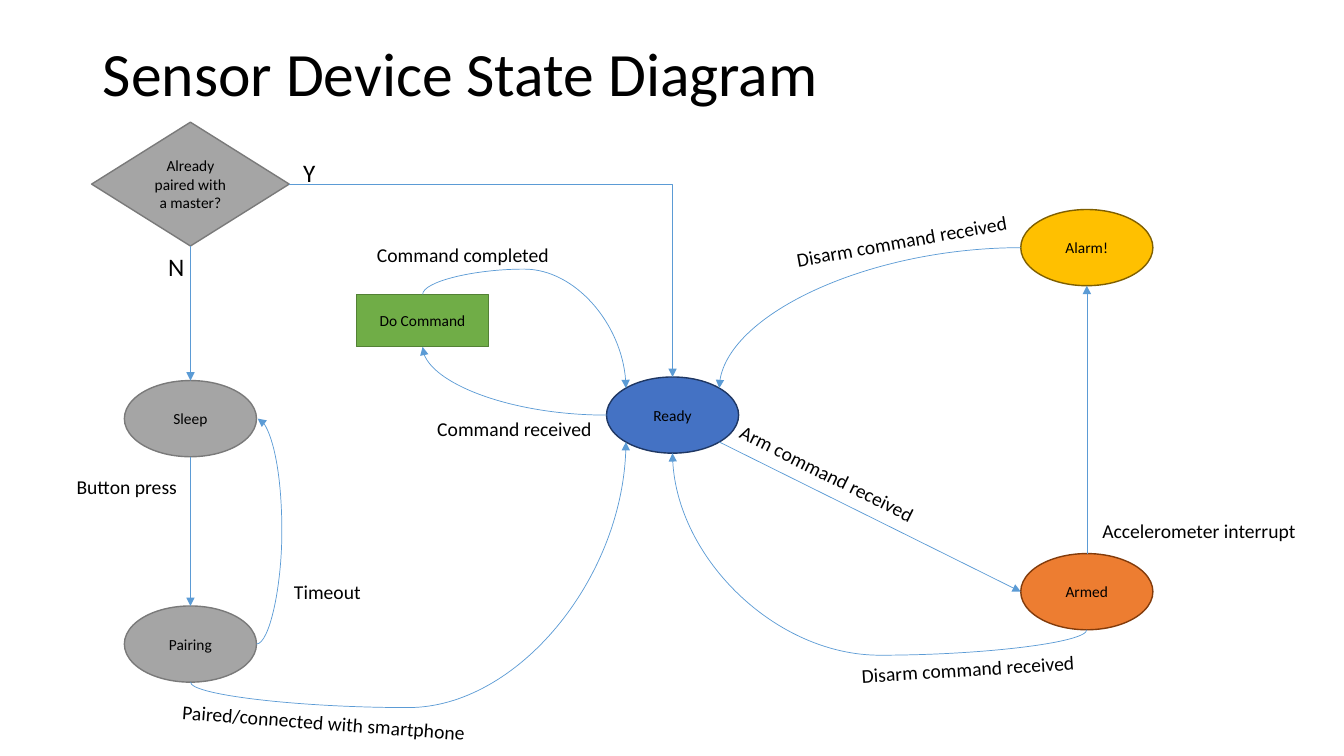
from math import sqrt

from lxml.etree import SubElement
from pptx import Presentation
from pptx.dml.color import RGBColor
from pptx.enum.shapes import MSO_CONNECTOR, MSO_SHAPE
from pptx.enum.text import MSO_ANCHOR, MSO_AUTO_SIZE, PP_ALIGN
from pptx.oxml.ns import qn
from pptx.util import Cm, Pt

BLACK = RGBColor(0x00, 0x00, 0x00)
ARROW_BLUE = RGBColor(0x5B, 0x9B, 0xD5)
GREY, GREY_EDGE = RGBColor(0xA5, 0xA5, 0xA5), RGBColor(0x7A, 0x7A, 0x7A)
BLUE, BLUE_EDGE = RGBColor(0x44, 0x72, 0xC4), RGBColor(0x1F, 0x37, 0x63)
ORANGE, ORANGE_EDGE = RGBColor(0xED, 0x7D, 0x31), RGBColor(0x82, 0x3B, 0x0B)
GOLD, GOLD_EDGE = RGBColor(0xFF, 0xC0, 0x00), RGBColor(0x7F, 0x5F, 0x00)
GREEN, GREEN_EDGE = RGBColor(0x70, 0xAD, 0x47), RGBColor(0x53, 0x81, 0x35)
FONT = "Calibri"

TITLE = "Sensor Device State Diagram"
DIAMOND, OVAL, BOX = MSO_SHAPE.DIAMOND, MSO_SHAPE.OVAL, MSO_SHAPE.RECTANGLE
SIZES = {DIAMOND: (4.98, 3.12), OVAL: (3.33, 1.92), BOX: (3.33, 1.32)}

PAIRED = "Already paired with a master?"
# text, outline, centre x and y in cm, fill, edge
STATES = [
    (PAIRED, DIAMOND, 4.8, 4.64, GREY, GREY_EDGE),
    ("Sleep", OVAL, 4.8, 10.55, GREY, GREY_EDGE),
    ("Ready", OVAL, 16.95, 10.46, BLUE, BLUE_EDGE),
    ("Pairing", OVAL, 4.8, 16.23, GREY, GREY_EDGE),
    ("Armed", OVAL, 27.39, 14.91, ORANGE, ORANGE_EDGE),
    ("Alarm!", OVAL, 27.39, 6.24, GOLD, GOLD_EDGE),
    ("Do Command", BOX, 10.65, 8.08, GREEN, GREEN_EDGE),
]

STRAIGHT, BENT = "line", "bentConnector2"
ARC, LOOP = "curvedConnector2", "curvedConnector3"
# from state and site, to state and site, route, rotation
TRANSITIONS = [
    (PAIRED, "bottom", "Sleep", "top", STRAIGHT, 0),
    ("Sleep", "bottom", "Pairing", "top", STRAIGHT, 0),
    (PAIRED, "right", "Ready", "top", BENT, 0),
    ("Pairing", "right", "Sleep", "right", LOOP, 0),
    ("Pairing", "bottom", "Ready", "bottom left", LOOP, 90),
    ("Ready", "bottom right", "Armed", "left", STRAIGHT, 0),
    ("Armed", "bottom", "Ready", "bottom", LOOP, 90),
    ("Armed", "top", "Alarm!", "bottom", STRAIGHT, 0),
    ("Alarm!", "left", "Ready", "top right", ARC, 180),
    ("Ready", "left", "Do Command", "bottom", ARC, 180),
    ("Do Command", "top", "Ready", "top left", LOOP, 270),
]
LOOP_BULGE = Cm(0.64)
MIN_LOOP_WIDTH = Cm(0.03)

# text, left, top, width in cm, rotation, point size
LABELS = [
    ("Y", 7.39, 3.84, 0.81, 0, 18),
    ("N", 3.99, 6.2, 0.91, 0, 18),
    ("Button press", 1.68, 11.84, 3.07, 0, 14),
    ("Timeout", 7.16, 14.48, 2.21, 0, 14),
    ("Paired/connected with smartphone", 4.34, 17.78, 7.7, 4.3, 14),
    ("Command received", 10.77, 10.39, 4.45, 0, 14),
    ("Command completed", 9.25, 5.99, 4.88, 0, 14),
    ("Arm command received", 18.19, 11.51, 5.33, 26.4, 14),
    ("Disarm command received", 21.46, 16.43, 5.92, -3.5, 14),
    ("Disarm command received", 19.79, 5.64, 5.92, -10.1, 14),
    ("Accelerometer interrupt", 27.53, 12.95, 5.44, 0, 14),
]
LABEL_HEIGHTS = {18: 1.02, 14: 0.86}

# Connection sites run anticlockwise from the top
DIAGONAL = sqrt(0.5)
OVAL_SITES = {
    "top": (0, -1), "top left": (-DIAGONAL, -DIAGONAL),
    "left": (-1, 0), "bottom left": (-DIAGONAL, DIAGONAL),
    "bottom": (0, 1), "bottom right": (DIAGONAL, DIAGONAL),
    "right": (1, 0), "top right": (DIAGONAL, -DIAGONAL),
}
SIDES = [site for site in OVAL_SITES if " " not in site]


def style_text(frame, size):
    for paragraph in frame.paragraphs:
        for run in paragraph.runs:
            run.font.name, run.font.size = FONT, Pt(size)
            run.font.color.rgb = BLACK


def add_state(slide, text, outline, x, y, fill, edge):
    width, height = SIZES[outline]
    state = slide.shapes.add_shape(outline, Cm(x - width / 2), Cm(y - height / 2),
                                   Cm(width), Cm(height))
    state.shadow.inherit = False
    state.fill.solid()
    state.fill.fore_color.rgb = fill
    state.line.color.rgb, state.line.width = edge, Pt(1)
    state.text_frame.text = text
    state.text_frame.vertical_anchor = MSO_ANCHOR.MIDDLE
    state.text_frame.paragraphs[0].alignment = PP_ALIGN.CENTER
    style_text(state.text_frame, 11)
    return state


def site_point(state, site):
    across, down = OVAL_SITES[site]
    return (round(state.left + state.width * (1 + across) / 2),
            round(state.top + state.height * (1 + down) / 2))


def site_index(state, site):
    sites = list(OVAL_SITES) if state.auto_shape_type == OVAL else SIDES
    return sites.index(site)


def add_transition(slide, start, start_site, end, end_site, route, rotation):
    """Join two states; the flips follow from the rotated route's direction."""
    x1, y1 = site_point(start, start_site)
    x2, y2 = site_point(end, end_site)
    if route == LOOP and x1 == x2 and rotation == 0:
        x2 += MIN_LOOP_WIDTH
    dx, dy = x2 - x1, y2 - y1
    run, rise = {0: (dx, dy), 90: (dy, -dx), 180: (-dx, -dy), 270: (-dy, dx)}[rotation]
    width, height = abs(run), abs(rise)

    arrow = slide.shapes.add_connector(MSO_CONNECTOR.STRAIGHT, x1, y1, x2, y2)
    arrow.left, arrow.top = (x1 + x2 - width) // 2, (y1 + y2 - height) // 2
    arrow.width, arrow.height = width, height
    arrow.line.color.rgb, arrow.line.width = ARROW_BLUE, Pt(0.5)

    properties = arrow.element.spPr
    frame = properties.find(qn("a:xfrm"))
    frame.set("rot", str(rotation * 60000))
    frame.set("flipH", str(int(run < 0)))
    frame.set("flipV", str(int(rise < 0)))
    geometry = properties.find(qn("a:prstGeom"))
    geometry.set("prst", route)
    if route == LOOP:
        bulge = round(LOOP_BULGE / run * 100000)
        SubElement(geometry.find(qn("a:avLst")), qn("a:gd"),
                   name="adj1", fmla=f"val {bulge}")
    SubElement(properties.find(qn("a:ln")), qn("a:tailEnd"), type="triangle")
    SubElement(properties, qn("a:effectLst"))

    glue = arrow.element.find(".//" + qn("p:cNvCxnSpPr"))
    for tag, state, site in (("a:stCxn", start, start_site), ("a:endCxn", end, end_site)):
        SubElement(glue, qn(tag), id=str(state.shape_id), idx=str(site_index(state, site)))


def add_label(slide, text, left, top, width, rotation, size):
    label = slide.shapes.add_textbox(Cm(left), Cm(top), Cm(width), Cm(LABEL_HEIGHTS[size]))
    label.rotation = rotation
    label.text_frame.word_wrap = False
    label.text_frame.auto_size = MSO_AUTO_SIZE.SHAPE_TO_FIT_TEXT
    label.text_frame.text = text
    style_text(label.text_frame, size)


def add_title(slide):
    title = slide.shapes.title
    title.left, title.top, title.width, title.height = Cm(2.34), Cm(0.1), Cm(29.21), Cm(3.68)
    title.text_frame.text = TITLE
    title.text_frame.vertical_anchor = MSO_ANCHOR.MIDDLE
    title.text_frame.paragraphs[0].alignment = PP_ALIGN.LEFT
    title.text_frame.paragraphs[0].line_spacing = 0.9
    style_text(title.text_frame, 44)


def main():
    deck = Presentation()
    deck.slide_width, deck.slide_height = Cm(33.87), Cm(19.05)
    slide = deck.slides.add_slide(deck.slide_layouts.get_by_name("Title Only"))
    add_title(slide)
    states = {state[0]: add_state(slide, *state) for state in STATES}
    for start, start_site, end, end_site, route, rotation in TRANSITIONS:
        add_transition(slide, states[start], start_site, states[end], end_site, route, rotation)
    for label in LABELS:
        add_label(slide, *label)
    deck.save("out.pptx")


if __name__ == "__main__":
    main()
